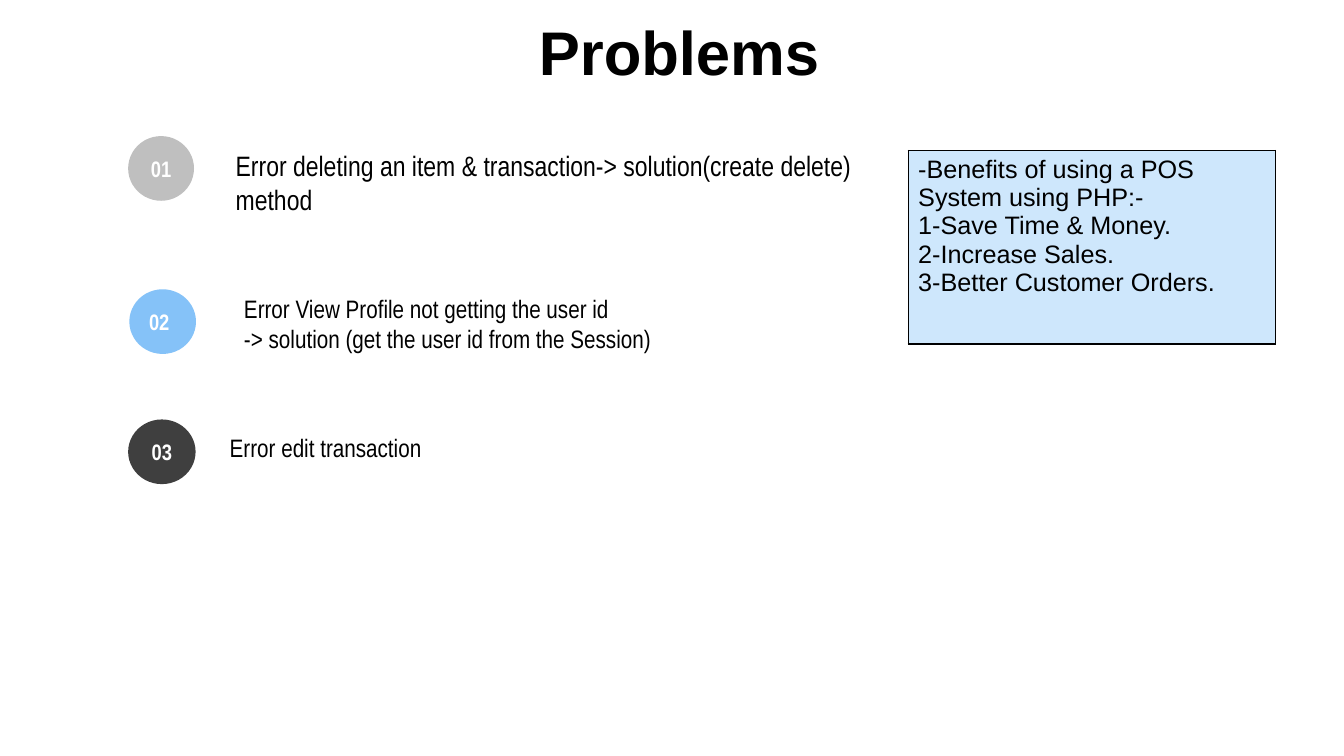
"""Builds the Problems slide: three numbered errors and a table of benefits."""
from dataclasses import dataclass

from lxml import etree
from pptx import Presentation
from pptx.dml.color import RGBColor
from pptx.enum.shapes import MSO_SHAPE
from pptx.enum.text import MSO_ANCHOR, PP_ALIGN
from pptx.oxml.ns import qn
from pptx.util import Cm, Pt

OVAL = MSO_SHAPE.OVAL
TOP, MIDDLE = MSO_ANCHOR.TOP, MSO_ANCHOR.MIDDLE
LEFT, CENTER = PP_ALIGN.LEFT, PP_ALIGN.CENTER


@dataclass(frozen=True)
class Theme:
    black: str = "000000"
    white: str = "FFFFFF"
    benefits_fill: str = "CEE7FC"
    heading_font: str = "Arial"
    body_font: str = "Arial Narrow"
    title_size: int = 44
    lead_size: int = 20
    body_size: int = 18
    badge_size: int = 16


THEME = Theme()

TITLE = "Problems"
TITLE_BOX = (5.69, 0.56, 22.86, 3.23)

PROBLEMS = [
    {"badge_at": (3.23, 3.43), "width": 1.66, "fill": "BFBFBF", "align": CENTER,
     "lines": ["Error deleting an item & transaction-> solution(create delete) method"],
     "size": THEME.lead_size, "box": (5.69, 3.5, 16.26, 2.92)},
    {"badge_at": (3.26, 7.29), "width": 1.68, "fill": "85C2F8", "align": LEFT,
     "lines": ["Error View Profile not getting the user id",
               "-> solution (get the user id from the Session)"],
     "size": THEME.body_size, "box": (5.9, 7.14, 12.14, 2.29)},
    {"badge_at": (3.23, 10.57), "width": 1.7, "fill": "3F3F3F", "align": CENTER,
     "lines": ["Error edit transaction"],
     "size": THEME.body_size, "box": (5.54, 10.64, 15.27, 3.56)},
]
BADGE_HEIGHT = 1.63

BENEFITS = [
    "-Benefits of using a POS System using PHP:-",
    "1-Save Time & Money.",
    "2-Increase Sales.",
    "3-Better Customer Orders.",
]
BENEFITS_BOX = (22.89, 3.79, 9.25, 4.88)


def write(frame, lines, *, size, font=THEME.body_font, color=THEME.black,
          bold=False, align=LEFT, anchor=TOP, inset=0.25, spacing=None):
    """Fill a text frame with one paragraph per line."""
    frame.word_wrap = True
    frame.vertical_anchor = anchor
    frame.margin_left = frame.margin_right = Cm(inset)
    frame.margin_top = frame.margin_bottom = Cm(inset)
    for index, line in enumerate(lines):
        paragraph = frame.add_paragraph() if index else frame.paragraphs[0]
        paragraph.alignment = align
        paragraph.line_spacing = spacing
        run = paragraph.add_run()
        run.text = line
        run.font.name = font
        run.font.size = Pt(size)
        run.font.bold = bold
        run.font.color.rgb = RGBColor.from_string(color)


def add_text(slide, box, lines, **text_format):
    """Place a text box and write its lines."""
    frame = slide.shapes.add_textbox(*map(Cm, box)).text_frame
    write(frame, lines, **text_format)


def add_badge(slide, number, problem):
    """Place the numbered circle of a problem."""
    badge = slide.shapes.add_shape(OVAL, *map(Cm, problem["badge_at"]),
                                   Cm(problem["width"]), Cm(BADGE_HEIGHT))
    badge.shadow.inherit = False
    badge.fill.solid()
    badge.fill.fore_color.rgb = RGBColor.from_string(problem["fill"])
    badge.line.fill.background()
    write(badge.text_frame, [f"{number:02d}"], size=THEME.badge_size,
          color=THEME.white, bold=True, align=problem["align"], anchor=MIDDLE)


def add_benefits(slide):
    """Place the bordered one-cell table of benefits."""
    table = slide.shapes.add_table(1, 1, *map(Cm, BENEFITS_BOX)).table
    table.first_row = table.horz_banding = False
    cell = table.cell(0, 0)
    write(cell.text_frame, BENEFITS, size=THEME.body_size, font=THEME.heading_font)
    cell.margin_left = cell.margin_right = Cm(0.25)
    cell.margin_top = cell.margin_bottom = Cm(0.13)
    cell.vertical_anchor = TOP
    properties = cell._tc.get_or_add_tcPr()
    for side in ("a:lnL", "a:lnR", "a:lnT", "a:lnB"):
        border = etree.SubElement(properties, qn(side), w=str(Pt(1)))
        solid = etree.SubElement(border, qn("a:solidFill"))
        etree.SubElement(solid, qn("a:srgbClr"), val=THEME.black)
    cell.fill.solid()
    cell.fill.fore_color.rgb = RGBColor.from_string(THEME.benefits_fill)


def main():
    """Build and save the slide."""
    deck = Presentation()
    deck.slide_width, deck.slide_height = Cm(33.87), Cm(19.05)
    slide = deck.slides.add_slide(deck.slide_layouts[6])
    add_text(slide, TITLE_BOX, [TITLE], size=THEME.title_size, bold=True,
             font=THEME.heading_font, align=CENTER, inset=0, spacing=0.9)
    for number, problem in enumerate(PROBLEMS, start=1):
        add_badge(slide, number, problem)
        add_text(slide, problem["box"], problem["lines"], size=problem["size"])
    add_benefits(slide)
    deck.save("out.pptx")


if __name__ == "__main__":
    main()
